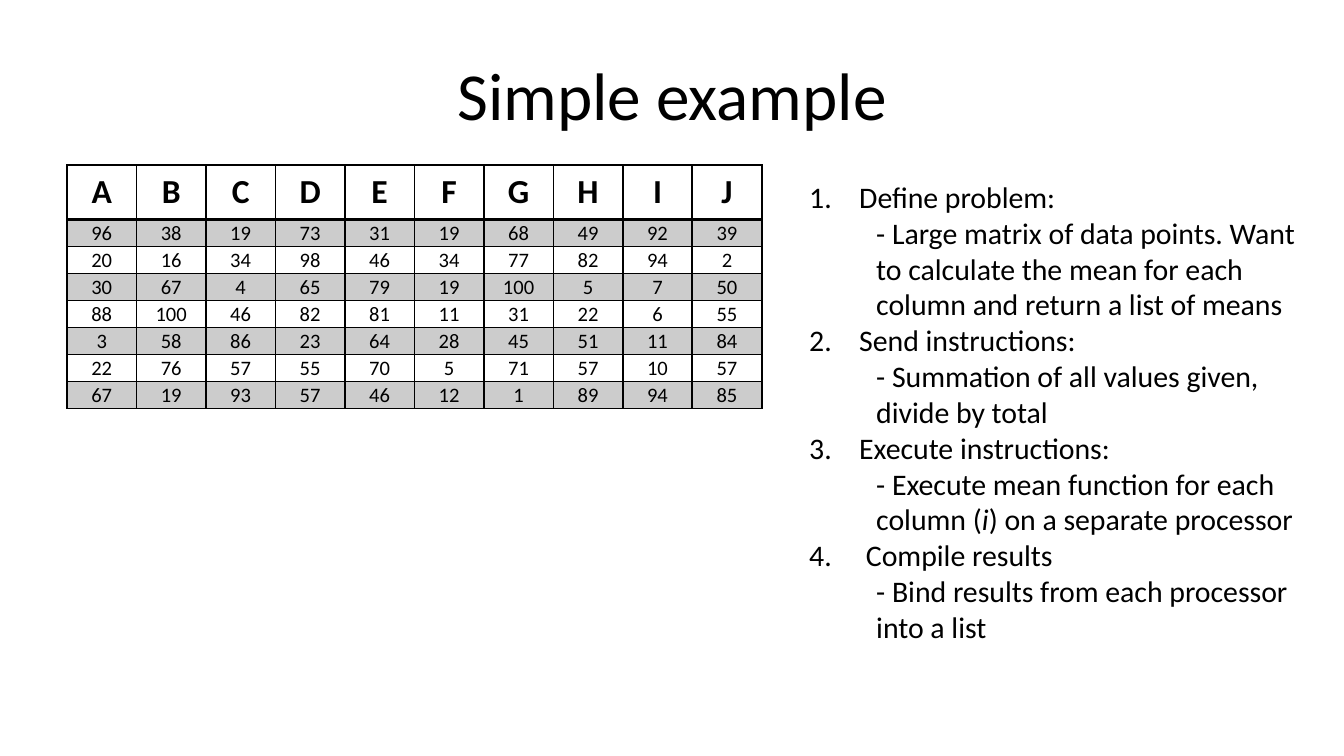
from pptx import Presentation
from pptx.dml.color import RGBColor
from pptx.enum.text import MSO_ANCHOR, PP_ALIGN
from pptx.oxml.ns import qn
from pptx.util import Pt
from lxml.etree import SubElement

SCALE = 914400 / 134.4
COLORS = {"ink": "000000"}
FONT = "Calibri"

HEADS = "ABCDEFGHIJ"
ROWS = [
    [96, 38, 19, 73, 31, 19, 68, 49, 92, 39],
    [20, 16, 34, 98, 46, 34, 77, 82, 94, 2],
    [30, 67, 4, 65, 79, 19, 100, 5, 7, 50],
    [88, 100, 46, 82, 81, 11, 31, 22, 6, 55],
    [3, 58, 86, 23, 64, 28, 45, 51, 11, 84],
    [22, 76, 57, 55, 70, 5, 71, 57, 10, 57],
    [67, 19, 93, 57, 46, 12, 1, 89, 94, 85],
]
STEPS = [
    ("Define problem:", ["- Large matrix of data points. Want to calculate "
                         "the mean for each column and return a list of means"]),
    ("Send instructions:", ["- Summation of all values given, divide by total"]),
    ("Execute instructions:", ["- Execute mean function for each column (", "i",
                               ") on a separate processor"]),
    (" Compile results", ["- Bind results from each processor into a list"]),
]


def px(n):
    """Turn pixels into EMU."""
    return round(n * SCALE)


def write(para, text, size=16, bold=False, italic=False, align=None):
    """Add one formatted run to a paragraph."""
    if align is not None:
        para.alignment = align
    run = para.add_run()
    run.text = text
    font = run.font
    font.name, font.size, font.bold, font.italic = FONT, Pt(size), bold, italic
    font.color.rgb = RGBColor.from_string(COLORS["ink"])


class Deck:
    """Hold the style and the current slide."""

    def __init__(self, wide, high):
        """Start a deck with one title-only slide."""
        self.prs = Presentation()
        self.prs.slide_width, self.prs.slide_height = px(wide), px(high)
        self.slide = self.prs.slides.add_slide(self.prs.slide_layouts[5])

    def title(self, text, box):
        """Place and fill the title."""
        shape = self.slide.shapes.title
        shape.left, shape.top, shape.width, shape.height = map(px, box)
        shape.text_frame.vertical_anchor = MSO_ANCHOR.MIDDLE
        write(shape.text_frame.paragraphs[0], text, size=36, align=PP_ALIGN.CENTER)

    def edge(self, cell, side, width):
        """Draw one border of a cell."""
        line = SubElement(cell._tc.get_or_add_tcPr(), qn("a:ln" + side), w=str(Pt(width)))
        fill = SubElement(line, qn("a:solidFill"))
        SubElement(fill, qn("a:srgbClr"), val=COLORS["ink"])

    def shade(self, cell, alpha):
        """Fill a cell with see-through ink."""
        cell.fill.solid()
        cell.fill.fore_color.rgb = RGBColor.from_string(COLORS["ink"])
        tint = cell._tc.tcPr.find(qn("a:solidFill"))[0]
        SubElement(tint, qn("a:alpha"), val=str(alpha * 1000))

    def table(self, heads, rows, box, head_high, row_high):
        """Add a ruled table with every other row shaded."""
        data = [list(heads)] + rows
        grid = self.slide.shapes.add_table(len(data), len(heads), *map(px, box)).table
        grid.horz_banding = False
        for r, values in enumerate(data):
            grid.rows[r].height = px(row_high if r else head_high)
            for c, value in enumerate(values):
                cell = grid.cell(r, c)
                for side in "LRTB":
                    thick = (r, side) in ((0, "B"), (1, "T"))
                    self.edge(cell, side, 2 if thick else 1)
                if r % 2:
                    self.shade(cell, 20)
                else:
                    cell.fill.background()
                if r:
                    cell.vertical_anchor = MSO_ANCHOR.MIDDLE
                    cell.margin_left = cell.margin_right = cell.margin_top = px(1)
                    cell.margin_bottom = 0
                write(cell.text_frame.paragraphs[0], str(value), size=11 if r else 18,
                      bold=not r, align=PP_ALIGN.CENTER)

    def steps(self, items, box):
        """Add a numbered list with a note under each step."""
        frame = self.slide.shapes.add_textbox(*map(px, box)).text_frame
        frame.word_wrap = True
        for i, (head, note) in enumerate(items):
            para = frame.add_paragraph() if i else frame.paragraphs[0]
            props = para._p.get_or_add_pPr()
            props.set("marL", str(px(50)))
            props.set("indent", str(px(-50)))
            SubElement(props, qn("a:buFont"), typeface="+mj-lt")
            SubElement(props, qn("a:buAutoNum"), type="arabicPeriod")
            write(para, head)
            para = frame.add_paragraph()
            para.level = 1
            props = para._p.get_or_add_pPr()
            props.set("marL", str(px(67)))
            props.set("indent", "0")
            for part in note:
                write(para, part, italic=part == "i")


deck = Deck(1344, 756)
deck.title("Simple example", (67, 31, 1210, 126))
deck.table(HEADS, ROWS, (67, 165, 695, 243), 54, 27)
deck.steps(STEPS, (796, 172, 515, 497))
deck.prs.save("out.pptx")
